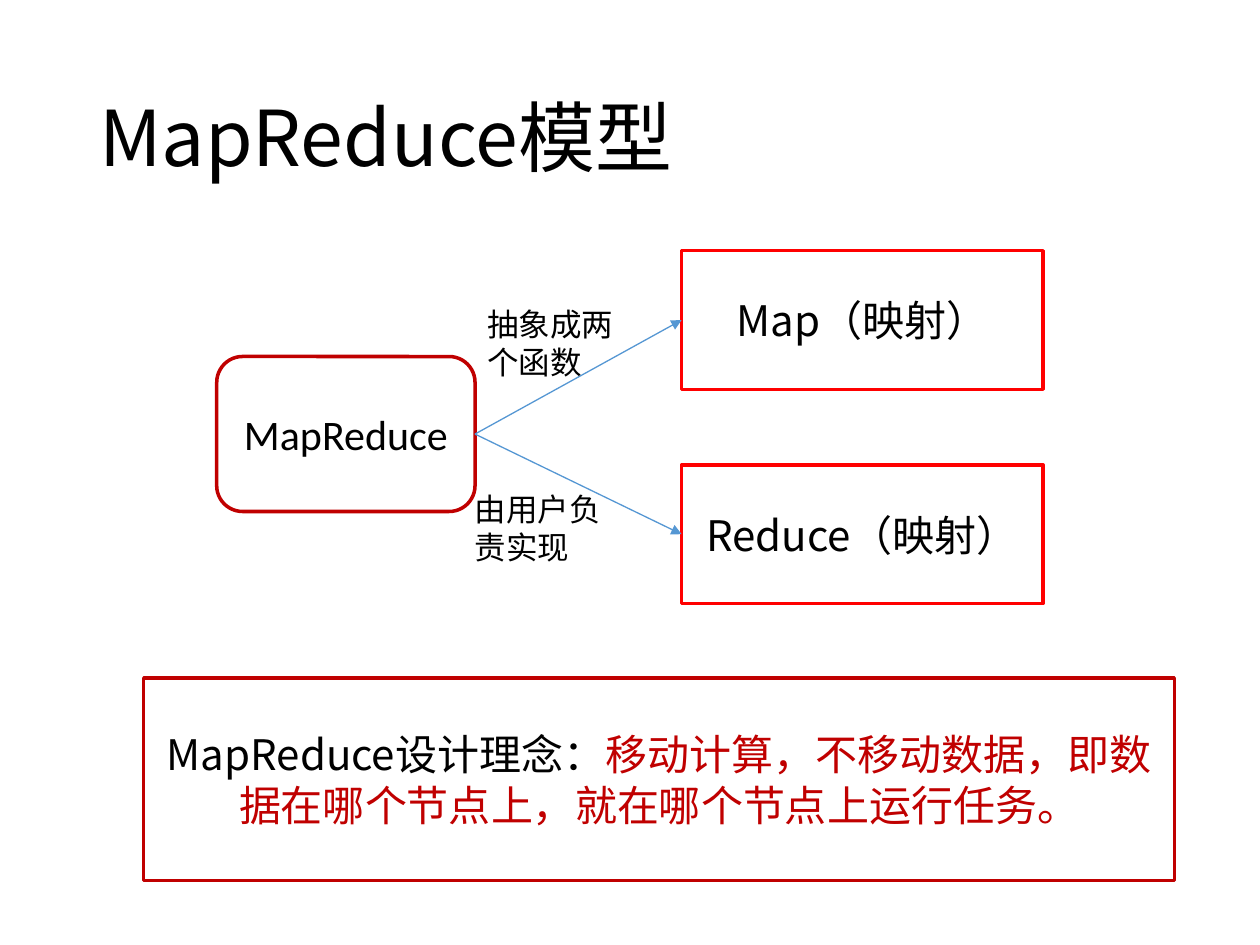
from dataclasses import dataclass

from lxml import etree
from pptx import Presentation
from pptx import util as u
from pptx.dml.color import RGBColor
from pptx.enum import shapes, text
from pptx.oxml.ns import qn

EMU_PER_PX = 9144  # 100 px to the inch


@dataclass(frozen=True)
class Theme:
    ink: str = "000000"
    paper: str = "FFFFFF"
    crimson: str = "C00000"
    red: str = "FF0000"
    arrow: str = "5597D3"
    cjk: str = "Noto Sans CJK SC"
    latin: str = "Calibri"
    title_pt: int = 44
    box_pt: int = 24
    label_pt: int = 18
    border_pt: float = 2
    arrow_pt: float = 0.75


THEME = Theme()


@dataclass(frozen=True)
class Area:
    left: int
    top: int
    width: int
    height: int

    def emu(self) -> list[int]:
        return [px(n) for n in (self.left, self.top, self.width, self.height)]


@dataclass(frozen=True)
class Piece:
    wording: str
    color: str = THEME.ink


@dataclass(frozen=True)
class Box:
    area: Area
    pieces: tuple[Piece, ...]
    border: str
    font: str = THEME.cjk
    rounded: bool = False


@dataclass(frozen=True)
class Label:
    area: Area
    wording: str
    size: int = THEME.label_pt
    anchor: text.MSO_ANCHOR = text.MSO_ANCHOR.TOP
    spacing: float = 1.0


def px(count: int) -> int:
    return u.Emu(count * EMU_PER_PX)


def rgb(color: str) -> RGBColor:
    return RGBColor.from_string(color)


def write(frame, pieces: tuple[Piece, ...], size: int, font: str, anchor, align):
    """Fill a text frame with one paragraph of coloured pieces."""
    frame.word_wrap = True
    frame.vertical_anchor = anchor
    line = frame.paragraphs[0]
    line.alignment = align
    for piece in pieces:
        run = line.add_run()
        run.text = piece.wording
        run.font.size = u.Pt(size)
        run.font.name = font
        run.font.color.rgb = rgb(piece.color)
        east_asian = etree.SubElement(run.font._element, qn("a:ea"))
        east_asian.set("typeface", THEME.cjk)
    return line


def draw_box(slide, box: Box):
    kind = shapes.MSO_SHAPE.ROUNDED_RECTANGLE if box.rounded else shapes.MSO_SHAPE.RECTANGLE
    shape = slide.shapes.add_shape(kind, *box.area.emu())
    shape.shadow.inherit = False
    if box.rounded:
        shape.fill.background()
    else:
        shape.fill.solid()
        shape.fill.fore_color.rgb = rgb(THEME.paper)
    shape.line.color.rgb = rgb(box.border)
    shape.line.width = u.Pt(THEME.border_pt)
    write(shape.text_frame, box.pieces, THEME.box_pt, box.font,
          text.MSO_ANCHOR.MIDDLE, text.PP_ALIGN.CENTER)
    return shape


def draw_label(slide, label: Label) -> None:
    frame = slide.shapes.add_textbox(*label.area.emu()).text_frame
    line = write(frame, (Piece(label.wording),), label.size, THEME.cjk,
                 label.anchor, text.PP_ALIGN.LEFT)
    line.line_spacing = label.spacing


def draw_arrow(slide, source, target) -> None:
    """Join the right side of source to the left side of target."""
    arrow = slide.shapes.add_connector(shapes.MSO_CONNECTOR.STRAIGHT, 0, 0, 0, 0)
    arrow.begin_connect(source, 3)
    arrow.end_connect(target, 1)
    arrow.line.color.rgb = rgb(THEME.arrow)
    arrow.line.width = u.Pt(THEME.arrow_pt)
    etree.SubElement(arrow.line._get_or_add_ln(), qn("a:tailEnd")).set("type", "triangle")
    etree.SubElement(arrow._element.spPr, qn("a:effectLst"))


TITLE = Label(Area(69, 40, 862, 145), "MapReduce模型", THEME.title_pt,
              text.MSO_ANCHOR.MIDDLE, 0.9)
MODEL = Box(Area(172, 283, 205, 123), (Piece("MapReduce"),), THEME.crimson,
            THEME.latin, rounded=True)
FUNCTIONS = [
    Box(Area(541, 199 + 170 * row, 287, 110), (Piece(f"{name}（映射）"),), THEME.red)
    for row, name in enumerate(("Map", "Reduce"))
]
LABELS = [
    Label(Area(377, 237, 144, 70), "抽象成两个函数"),
    Label(Area(367, 384, 133, 70), "由用户负责实现"),
]
PRINCIPLE = Box(
    Area(114, 538, 818, 161),
    (Piece("MapReduce设计理念："),
     Piece("移动计算，不移动数据，即数据在哪个节点上，就在哪个节点上运行任务。", THEME.crimson)),
    THEME.crimson,
)


def main() -> None:
    deck = Presentation()
    deck.slide_width, deck.slide_height = px(1000), px(750)
    slide = deck.slides.add_slide(deck.slide_layouts[6])

    # Title
    draw_label(slide, TITLE)

    # Model split into its two functions
    model = draw_box(slide, MODEL)
    functions = [draw_box(slide, box) for box in FUNCTIONS]
    for function in functions:
        draw_arrow(slide, model, function)
    for label in LABELS:
        draw_label(slide, label)

    # Design principle
    draw_box(slide, PRINCIPLE)

    deck.save("out.pptx")


if __name__ == "__main__":
    main()
